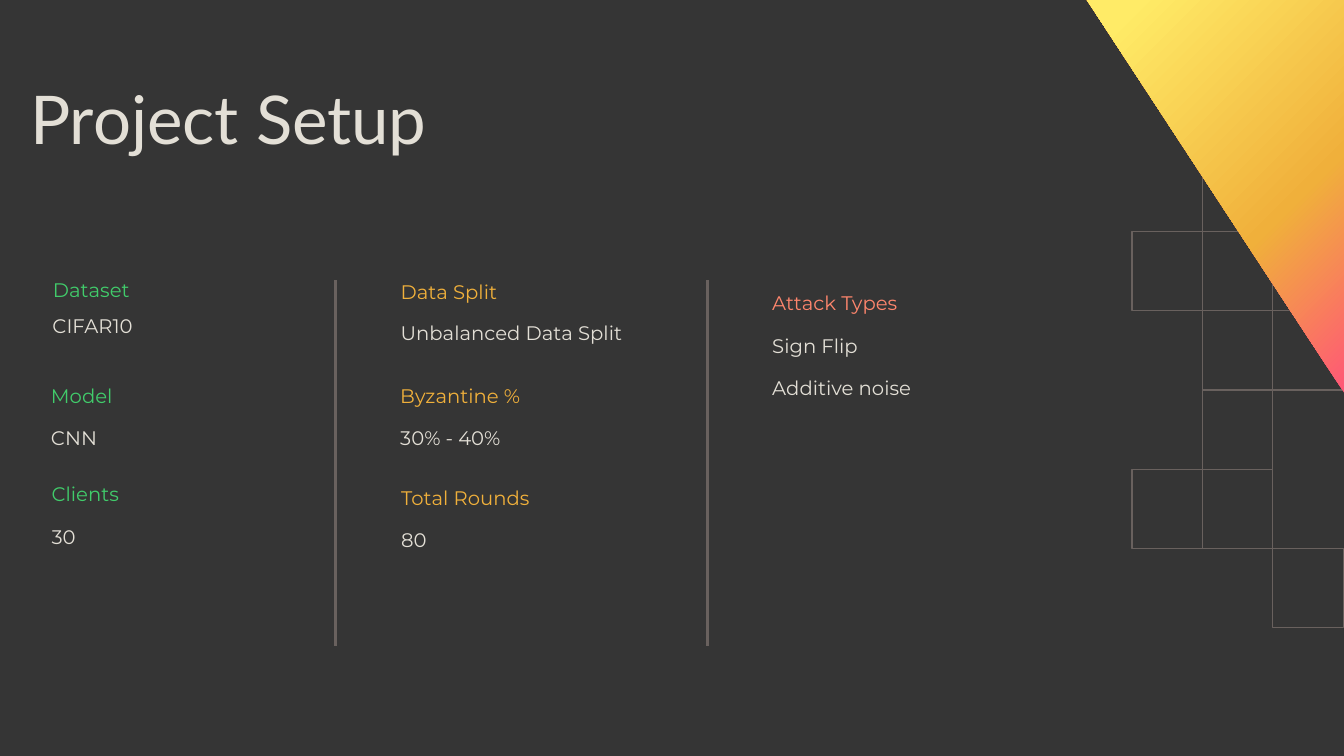
"""Build the Project Setup slide with its three columns of experiment settings."""
from dataclasses import dataclass

import pptx
import pptx.dml.color
import pptx.enum.shapes
import pptx.enum.text
import pptx.oxml
import pptx.oxml.ns
import pptx.shapes.autoshape
import pptx.slide
import pptx.util
from lxml import etree

Pt = pptx.util.Pt


@dataclass(frozen=True)
class Theme:
    background: str = "353535"
    light: str = "E3DFD6"
    line: str = "69615E"
    green: str = "41CC6B"
    amber: str = "F0B03B"
    coral: str = "FF866D"
    gradient: tuple[tuple[int, str], ...] = (
        (0, "FF5777"), (37, "F0B03B"), (92, "FFEB67"), (100, "FFEB67"))
    title_font: str = "Lato"
    body_font: str = "Montserrat"
    title_size: float = 48
    body_size: float = 14
    entry_gap: float = 15.4


@dataclass(frozen=True)
class Line:
    text: str
    color: str


@dataclass(frozen=True)
class Block:
    left: float
    top: float
    width: float
    height: float
    lines: tuple[Line, ...]
    font: str
    size: float
    spacing: float = 0.9
    inset_top: float = 9.4
    inset_right: float = 0


@dataclass(frozen=True)
class Divider:
    x: float
    top: float = 200.2
    bottom: float = 461.5


THEME = Theme()
INSET = 9.4
GRID_LEFT, GRID_TOP = 808.6, 108.7
CELL_WIDTH, CELL_HEIGHT = 50.3, 56.64
CELLS = ((1, 0), (2, 0), (0, 1), (1, 1), (2, 1), (1, 2), (2, 2), (1, 3), (0, 4), (1, 4), (2, 5))
TRIANGLE = ((776.4, 0), (960, 0), (960, 280.4))
DIVIDERS = (Divider(239.8), Divider(505.5))


def setting(left: float, top: float, height: float, color: str, label: str, *values: str) -> Block:
    """Return a coloured label followed by its values."""
    lines = (Line(label, color), *(Line(value, THEME.light) for value in values))
    return Block(left, top, 192.2, height, lines, THEME.body_font, THEME.body_size)


def single(left: float, top: float, height: float, line: Line, spacing: float,
           inset_top: float = INSET) -> Block:
    """Return a block that holds one line of body text."""
    return Block(left, top, 192.2, height, (line,), THEME.body_font, THEME.body_size,
                 spacing, inset_top)


BLOCKS = (
    Block(12.2, 52.6, 635.8, 72, (Line("Project Setup", THEME.light),),
          THEME.title_font, THEME.title_size, inset_right=INSET),
    single(28.4, 200.2, 54.7, Line("Dataset", THEME.green), 0.9, 0),
    single(28.1, 223.2, 38.2, Line("CIFAR10", THEME.light), 0.7),
    setting(27, 266.4, 72, THEME.green, "Model", "CNN"),
    setting(27.4, 337, 72, THEME.green, "Clients", "30"),
    single(276.8, 200.2, 54.7, Line("Data Split", THEME.amber), 1, 0),
    single(276.8, 223.2, 93.6, Line("Unbalanced Data Split", THEME.light), 0.9),
    setting(276.5, 266.4, 93.6, THEME.amber, "Byzantine %", "30% - 40%"),
    setting(277.2, 339.4, 93.6, THEME.amber, "Total Rounds", "80"),
    setting(542.2, 200.2, 93.6, THEME.coral, "Attack Types", "Sign Flip", "Additive noise"),
)


def rgb(color: str) -> pptx.dml.color.RGBColor:
    """Return the colour object of a hex string."""
    return pptx.dml.color.RGBColor.from_string(color)


def draw_cell(page: pptx.slide.Slide, column: int, row: int) -> None:
    """Draw one outlined cell of the background grid."""
    cell = page.shapes.add_shape(
        pptx.enum.shapes.MSO_SHAPE.RECTANGLE,
        Pt(GRID_LEFT + column * CELL_WIDTH), Pt(GRID_TOP + row * CELL_HEIGHT),
        Pt(CELL_WIDTH), Pt(CELL_HEIGHT))
    cell.shadow.inherit = False
    cell.fill.background()
    cell.line.color.rgb = rgb(THEME.line)
    cell.line.width = Pt(0.75)


def draw_triangle(page: pptx.slide.Slide) -> None:
    """Draw the gradient triangle in the top right corner."""
    start, *others = [(Pt(x), Pt(y)) for x, y in TRIANGLE]
    builder = page.shapes.build_freeform(*start)
    builder.add_line_segments(others, close=True)
    triangle = builder.convert_to_shape()
    triangle.shadow.inherit = False
    triangle.line.fill.background()
    triangle.fill.gradient()
    triangle.fill.gradient_angle = 135
    qn = pptx.oxml.ns.qn
    stops = next(triangle.element.iter(qn("a:gsLst")))
    for stop in list(stops):
        stops.remove(stop)
    for position, color in THEME.gradient:
        stop = etree.SubElement(stops, qn("a:gs"), pos=str(position * 1000))
        etree.SubElement(stop, qn("a:srgbClr"), val=color)


def draw_divider(page: pptx.slide.Slide, divider: Divider) -> None:
    """Draw one vertical rule between columns."""
    rule = page.shapes.add_connector(
        pptx.enum.shapes.MSO_CONNECTOR.STRAIGHT,
        Pt(divider.x), Pt(divider.top), Pt(divider.x), Pt(divider.bottom))
    rule.line.color.rgb = rgb(THEME.line)
    rule.line.width = Pt(2)
    etree.SubElement(rule.element.spPr, pptx.oxml.ns.qn("a:effectLst"))


def draw_block(page: pptx.slide.Slide, block: Block) -> None:
    """Draw one text box with a paragraph for each line."""
    box = page.shapes.add_textbox(
        Pt(block.left), Pt(block.top), Pt(block.width), Pt(block.height))
    frame = box.text_frame
    frame.word_wrap = True
    frame.vertical_anchor = pptx.enum.text.MSO_ANCHOR.TOP
    frame.margin_left = frame.margin_bottom = Pt(INSET)
    frame.margin_top = Pt(block.inset_top)
    frame.margin_right = Pt(block.inset_right)
    for index, line in enumerate(block.lines):
        para = frame.add_paragraph() if index else frame.paragraphs[0]
        para.line_spacing = block.spacing
        para.space_before = Pt(THEME.entry_gap if index else 0)
        span = para.add_run()
        span.text = line.text
        span.font.name = block.font
        span.font.size = Pt(block.size)
        span.font.color.rgb = rgb(line.color)


def main() -> None:
    """Build the deck and save it."""
    deck = pptx.Presentation()
    deck.slide_width, deck.slide_height = Pt(960), Pt(540)
    page = deck.slides.add_slide(deck.slide_layouts[6])
    page.background.fill.solid()
    page.background.fill.fore_color.rgb = rgb(THEME.background)
    for column, row in CELLS:
        draw_cell(page, column, row)
    draw_triangle(page)
    for divider in DIVIDERS:
        draw_divider(page, divider)
    for block in BLOCKS:
        draw_block(page, block)
    deck.save("out.pptx")


if __name__ == "__main__":
    main()
